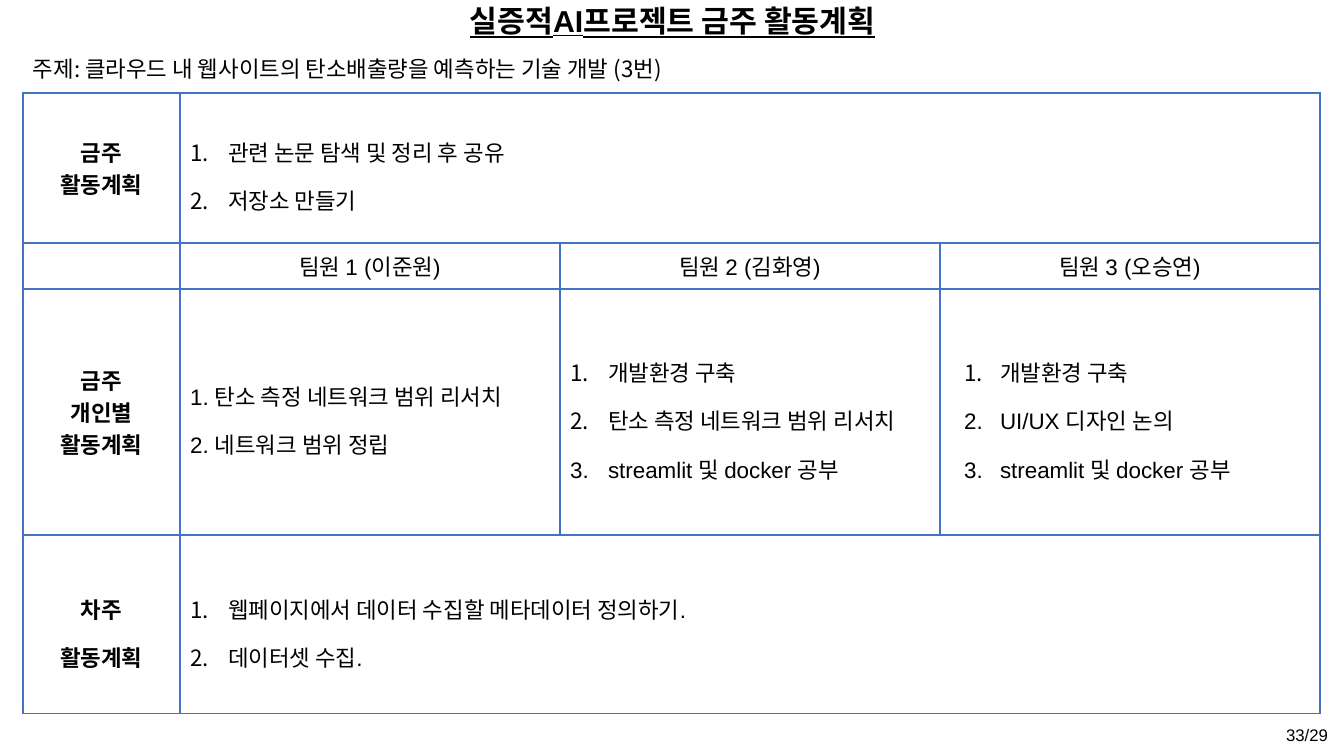
from pptx import Presentation
from pptx.dml.color import RGBColor
from pptx.enum.text import MSO_ANCHOR as ANCHOR, PP_ALIGN as ALIGN
from pptx.oxml.ns import qn
from pptx.util import Pt
from lxml.etree import SubElement

PX = 12192000 / 1344
BLACK = RGBColor(0, 0, 0)
WHITE = RGBColor(255, 255, 255)
BLUE = RGBColor(0x44, 0x72, 0xC4)
LATIN, KOREAN = "Arial", "Noto Sans CJK KR"


def px(n):
    return round(n * PX)


def write(tf, lines, align=ALIGN.LEFT, spacing=None, indent=None, font=LATIN,
          size=16, **fmt):
    """Fill a text frame; indent is (left, hanging) in px for numbered lines."""
    tf.word_wrap = True
    for i, line in enumerate(lines):
        p = tf.add_paragraph() if i else tf.paragraphs[0]
        p.alignment = align
        if spacing:
            p.line_spacing = spacing
        if indent:
            pPr = p._p.get_or_add_pPr()
            pPr.set("marL", str(px(indent[0])))
            pPr.set("indent", str(-px(indent[1])))
            clr = SubElement(pPr, qn("a:buClr"))
            SubElement(clr, qn("a:srgbClr"), val=str(BLACK))
            SubElement(pPr, qn("a:buAutoNum"), type="arabicPeriod")
        r = p.add_run()
        r.text = line
        for name, value in {"name": font, "size": Pt(size), **fmt}.items():
            setattr(r.font, name, value)
        r.font.color.rgb = BLACK
        SubElement(r._r.get_or_add_rPr(), qn("a:ea"), typeface=KOREAN)


prs = Presentation()
prs.slide_width, prs.slide_height = px(1344), px(756)
s = prs.slides.add_slide(prs.slide_layouts[6])

# Title, topic and page number
for box, anchor, line, fmt in [
    ((93, 0, 1159, 45), ANCHOR.MIDDLE, "실증적AI프로젝트 금주 활동계획",
     dict(align=ALIGN.CENTER, spacing=0.9, size=21.6, bold=True, underline=True)),
    ((23, 50, 942, 37), ANCHOR.TOP,
     "주제: 클라우드 내 웹사이트의 탄소배출량을 예측하는 기술 개발 (3번)",
     dict(font=KOREAN)),
    ((1242, 715, 96, 40), ANCHOR.MIDDLE, "33/29", dict(align=ALIGN.RIGHT, size=12)),
]:
    tf = s.shapes.add_textbox(*map(px, box)).text_frame
    tf.vertical_anchor = anchor
    write(tf, [line], **fmt)

# Plan table
widths, heights = [157, 380, 380, 380], [150, 46, 246, 179]
frame = s.shapes.add_table(len(heights), len(widths), px(23), px(93),
                           px(sum(widths)), px(sum(heights)))
table = frame.table
table.first_row = table.horz_banding = False
for col, w in zip(table.columns, widths):
    col.width = px(w)
for row, h in zip(table.rows, heights):
    row.height = px(h)

# Fills and borders, with a heavier line under the first row
for r, row in enumerate(table.rows):
    for cell in row.cells:
        cell.vertical_anchor = ANCHOR.MIDDLE
        tcPr = cell._tc.get_or_add_tcPr()
        for side in "LRTB":
            heavy = (r, side) in [(0, "B"), (1, "T")]
            ln = SubElement(tcPr, qn("a:ln" + side), w=str(Pt(2 if heavy else 1)))
            fill = SubElement(ln, qn("a:solidFill"))
            SubElement(fill, qn("a:srgbClr"), val=str(BLUE))
        cell.fill.solid()
        cell.fill.fore_color.rgb = WHITE
for r in (0, 3):
    table.cell(r, 1).merge(table.cell(r, 3))

# Cell text
heading = dict(align=ALIGN.CENTER, bold=True)
numbered = dict(spacing=1.5, indent=(38, 38))
texts = {
    (0, 0): (["금주", "활동계획"], heading),
    (0, 1): (["관련 논문 탐색 및 정리 후 공유", "저장소 만들기"], numbered),
    (2, 0): (["금주", "개인별", "활동계획"], heading),
    (2, 1): (["1. 탄소 측정 네트워크 범위 리서치", "2. 네트워크 범위 정립"],
             dict(spacing=1.5)),
    (2, 2): (["개발환경 구축", "탄소 측정 네트워크 범위 리서치",
              "streamlit 및 docker 공부"], numbered),
    (2, 3): (["개발환경 구축", "UI/UX 디자인 논의", "streamlit 및 docker 공부"],
             dict(spacing=1.5, indent=(50, 36))),
    (3, 0): (["차주", "활동계획"], dict(heading, spacing=1.5)),
    (3, 1): (["웹페이지에서 데이터 수집할 메타데이터 정의하기.", "데이터셋 수집."],
             numbered),
}
for n, member in enumerate(["이준원", "김화영", "오승연"], 1):
    texts[1, n] = ([f"팀원 {n} ({member})"], dict(align=ALIGN.CENTER))
for (r, c), (lines, fmt) in texts.items():
    write(table.cell(r, c).text_frame, lines, **fmt)

prs.save("out.pptx")
